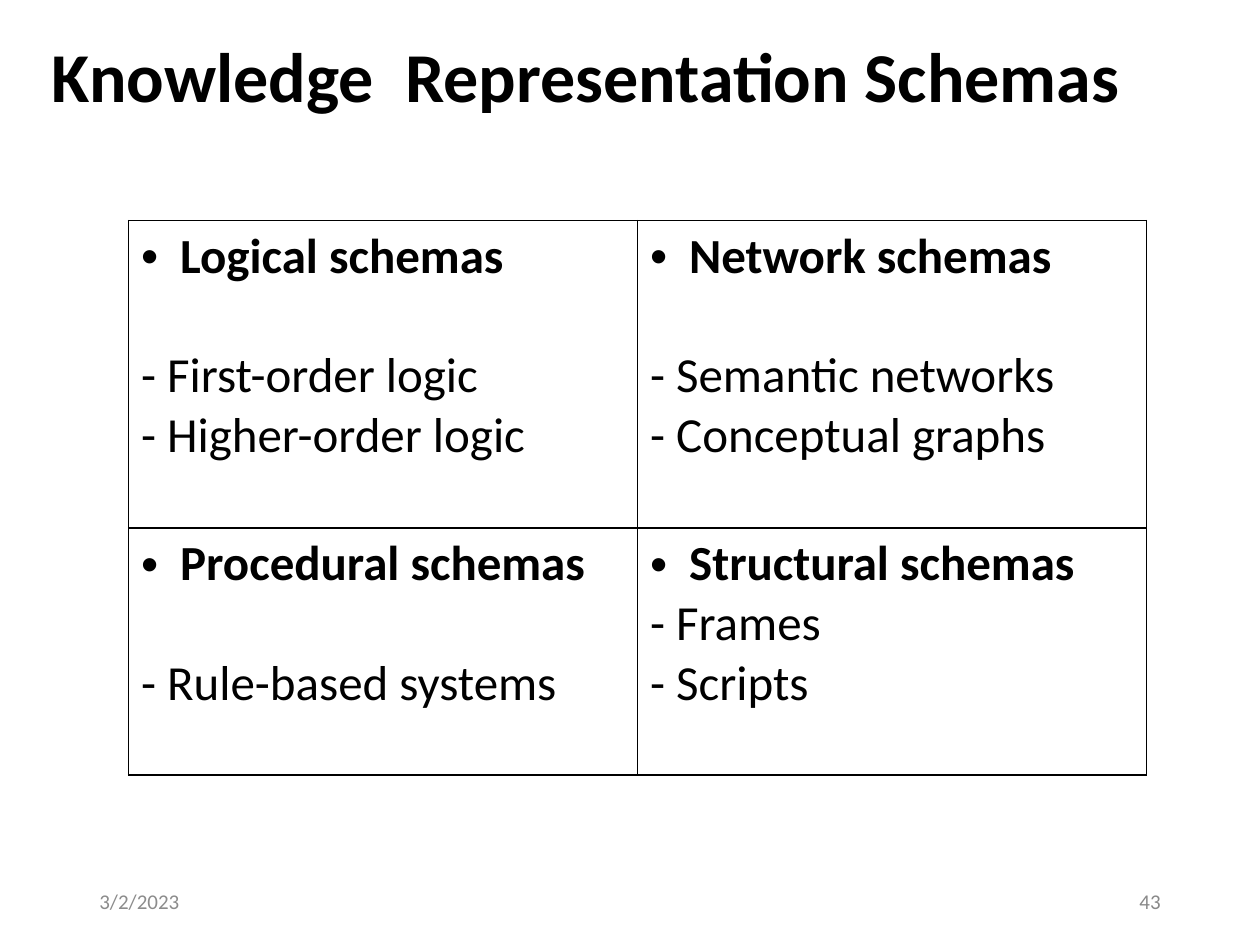
from lxml.etree import SubElement
from pptx import Presentation
from pptx.dml.color import RGBColor
from pptx.enum.text import MSO_ANCHOR as Anchor, PP_ALIGN as Align
from pptx.oxml.ns import qn
from pptx.util import Inches, Pt


def write(para, text, size, color="000000", bold=False):
    span = para.add_run()
    span.text = text
    font_format = {"name": "Calibri", "size": Pt(size), "bold": bold}
    for name, value in font_format.items():
        setattr(span.font, name, value)
    span.font.color.rgb = RGBColor.from_string(color)


def add_box(page, left, top, width, height, **frame_format):
    """Add a wrapping text box and return its first paragraph."""
    box = page.shapes.add_textbox(*map(Inches, (left, top, width, height)))
    frame = box.text_frame
    for name, value in {"word_wrap": True, **frame_format}.items():
        setattr(frame, name, value)
    return frame.paragraphs[0]


deck = Presentation()
deck.slide_width, deck.slide_height = Inches(10), Inches(7.5)
page = deck.slides.add_slide(deck.slide_layouts[6])

# Title
title = add_box(page, 0.31, 0.25, 8.75, 0.69, margin_left=0, margin_right=0,
                margin_top=Inches(0.01), margin_bottom=0)
title.alignment = Align.CENTER
title.space_before = Pt(1)
title_props = title._p.get_or_add_pPr()
title_props.set("marL", str(Inches(1.68)))
title_props.set("indent", str(Inches(-1.63)))
write(title, "Knowledge  Representation Schemas ", 40, bold=True)

# Table of schemas: heading, gap below the heading in points, items
LINE_GAP = 34
schemas = [
    [("Logical schemas", LINE_GAP, ["First-order logic", "Higher-order logic"]),
     ("Network schemas", LINE_GAP, ["Semantic networks", "Conceptual graphs"])],
    [("Procedural schemas", LINE_GAP, ["Rule-based systems"]),
     ("Structural schemas", 0, ["Frames", "Scripts"])],
]
row_heights = [2.44, 1.96]
table = page.shapes.add_table(2, 2, Inches(1.02), Inches(1.75),
                              Inches(8.08), Inches(sum(row_heights))).table
table.first_row = table.horz_banding = False
for row, height in zip(table.rows, row_heights):
    row.height = Inches(height)

for row_index, row in enumerate(schemas):
    for column_index, (heading, gap, items) in enumerate(row):
        cell = table.cell(row_index, column_index)
        cell_props = cell._tc.get_or_add_tcPr()
        for side in ("a:lnL", "a:lnR", "a:lnT", "a:lnB"):
            border = SubElement(cell_props, qn(side), w=str(Pt(1)))
            fill = SubElement(border, qn("a:solidFill"))
            SubElement(fill, qn("a:srgbClr"), val="000000")
        cell.fill.background()

        para = cell.text_frame.paragraphs[0]
        para.space_after = Pt(gap)
        para_props = para._p.get_or_add_pPr()
        para_props.set("marL", str(Inches(0.31)))
        para_props.set("indent", str(Inches(-0.31)))
        SubElement(para_props, qn("a:buFont"), typeface="Arial")
        SubElement(para_props, qn("a:buChar"), char="•")
        write(para, heading, 28, bold=True)
        for item in items:
            write(cell.text_frame.add_paragraph(), f"- {item}", 28)

# Footer
footers = [
    (0.69, "3/2/2023", Align.LEFT, "8C8C8C"),
    (7.06, "43", Align.RIGHT, "898989"),
]
for left, text, alignment, color in footers:
    footer = add_box(page, left, 6.95, 2.25, 0.4, vertical_anchor=Anchor.MIDDLE)
    footer.alignment = alignment
    write(footer, text, 12, color)

deck.save("out.pptx")
